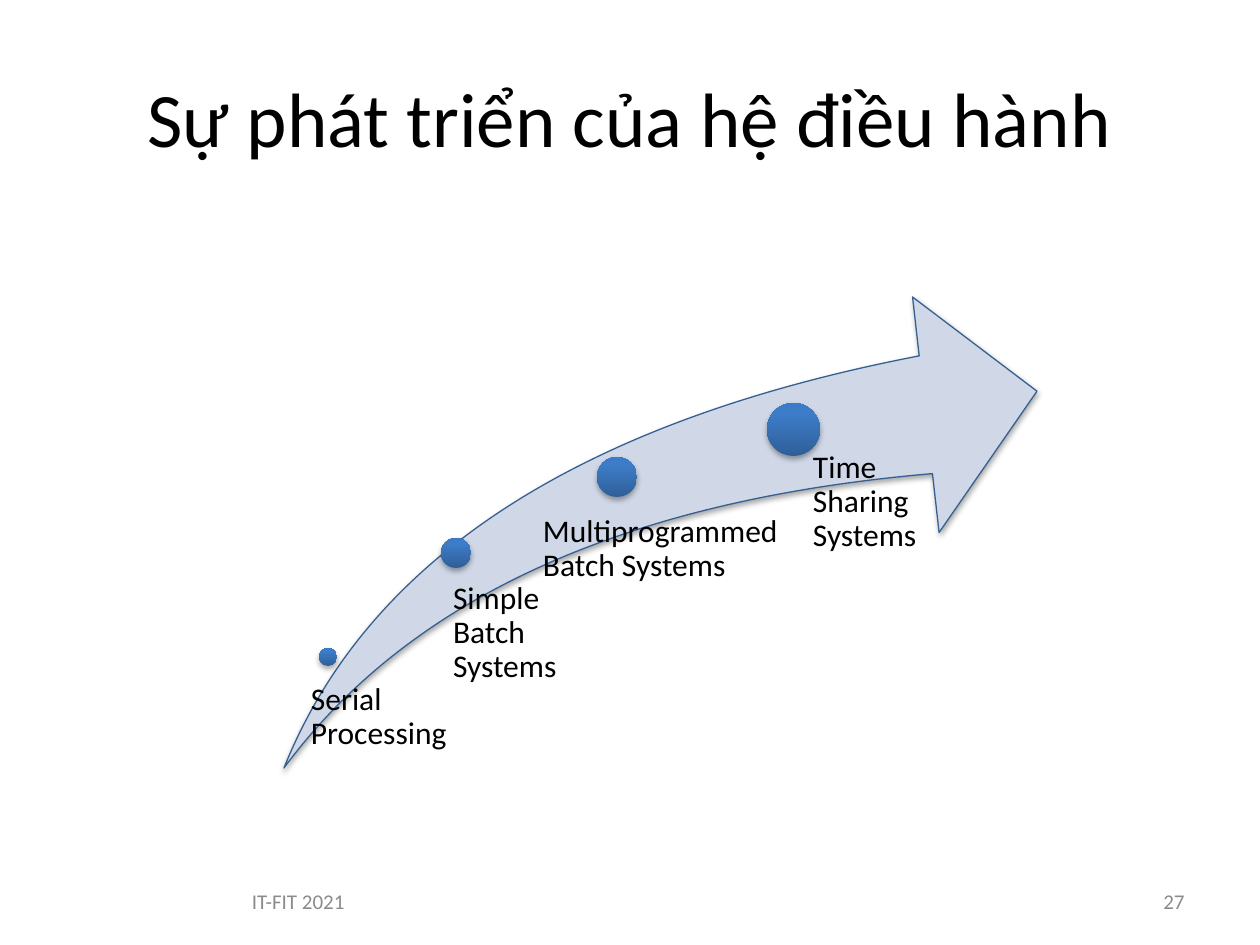
from copy import deepcopy

from lxml.etree import SubElement
from pptx import Presentation
from pptx.dml.color import RGBColor
from pptx.enum.shapes import MSO_SHAPE
from pptx.enum.text import MSO_ANCHOR, PP_ALIGN
from pptx.oxml.ns import qn
from pptx.util import Inches, Pt

PX_PER_INCH = 126
FONT = "Calibri"
BLACK, GREY = "000000", "8B8B8B"
ARROW_FILL, ARROW_EDGE = "D0D8E8", "376092"
DOT_GRADIENT = [(0, "2F5F99"), (0.8, "3D7CC7"), (1, "3A7CCB")]

# text, dot (left, top, diameter), label (left, top, width, height), label inset
STAGES = [
    ("Serial Processing", (319, 648, 18), (302, 683, 179, 57), 9),
    ("Simple Batch Systems", (441, 538, 30), (437, 582, 159, 86), 16),
    ("Multiprogrammed Batch Systems", (597, 457, 40), (522, 515, 281, 76), 21),
    ("Time Sharing Systems", (767, 403, 53), (784, 451, 137, 107), 29),
]


def px(*lengths):
    return [Inches(length / PX_PER_INCH) for length in lengths]


def rgb(hex_colour):
    return RGBColor.from_string(hex_colour)


def write(frame, text, size, colour, align, anchor):
    frame.word_wrap = True
    frame.vertical_anchor = anchor
    paragraph = frame.paragraphs[0]
    paragraph.alignment = align
    run = paragraph.add_run()
    run.text = text
    run.font.name = FONT
    run.font.size = Pt(size)
    run.font.color.rgb = rgb(colour)
    return paragraph


def add_title(slide, text):
    title = slide.shapes.title
    title.left, title.top, title.width, title.height = px(63, 38, 1134, 157)
    write(title.text_frame, text, 44, BLACK, PP_ALIGN.CENTER, MSO_ANCHOR.MIDDLE)


def add_footer(slide, text, left):
    footer = slide.shapes.add_textbox(*px(left, 876, 294, 50))
    write(footer.text_frame, text, 12, GREY, PP_ALIGN.RIGHT, MSO_ANCHOR.MIDDLE)


def add_soft_shadow(shape):
    shape.shadow.inherit = False
    effects = shape.element.spPr.find(qn("a:effectLst"))
    shadow = SubElement(effects, qn("a:outerShdw"), blurRad="40000", dist="23000",
                        dir="5400000", rotWithShape="0")
    colour = SubElement(shadow, qn("a:srgbClr"), val=BLACK)
    SubElement(colour, qn("a:alpha"), val="35000")


def fill_gradient(shape, colours):
    """Fill upwards, with one stop for each (position, colour)."""
    fill = shape.fill
    fill.gradient()
    fill.gradient_angle = 90
    stop_list = shape.element.spPr.find(".//" + qn("a:gsLst"))
    while len(stop_list) < len(colours):
        stop_list.append(deepcopy(stop_list[-1]))
    for stop, (position, colour) in zip(fill.gradient_stops, colours):
        stop.position = position
        stop.color.rgb = rgb(colour)


def add_growth_arrow(diagram):
    arrow = diagram.shapes.add_shape(MSO_SHAPE.SWOOSH_ARROW, *px(284, 297, 753, 471))
    arrow.adjustments[0] = 0.25
    arrow.adjustments[1] = 0.25
    arrow.fill.solid()
    arrow.fill.fore_color.rgb = rgb(ARROW_FILL)
    arrow.line.color.rgb = rgb(ARROW_EDGE)
    arrow.line.width = Pt(0.75)
    add_soft_shadow(arrow)


def add_dot(diagram, left, top, diameter):
    dot = diagram.shapes.add_shape(MSO_SHAPE.OVAL, *px(left, top, diameter, diameter))
    fill_gradient(dot, DOT_GRADIENT)
    dot.line.fill.background()
    add_soft_shadow(dot)


def add_label(diagram, text, box, inset):
    frame = diagram.shapes.add_textbox(*px(*box)).text_frame
    (frame.margin_left, frame.margin_top,
     frame.margin_right, frame.margin_bottom) = px(inset, 0, 0, 0)
    paragraph = write(frame, text, 18, BLACK, PP_ALIGN.LEFT, MSO_ANCHOR.TOP)
    paragraph.line_spacing = 0.9
    paragraph.space_after = Pt(6.3)


def main():
    deck = Presentation()
    deck.slide_width, deck.slide_height = Inches(10), Inches(7.5)
    slide = deck.slides.add_slide(deck.slide_layouts[5])

    add_title(slide, "Sự phát triển của hệ điều hành")
    add_footer(slide, "IT-FIT 2021", 63)
    add_footer(slide, "27", 903)

    diagram = slide.shapes.add_group_shape()
    add_growth_arrow(diagram)
    for text, dot, label_box, inset in STAGES:
        add_dot(diagram, *dot)
        add_label(diagram, text, label_box, inset)

    deck.save("out.pptx")


if __name__ == "__main__":
    main()
